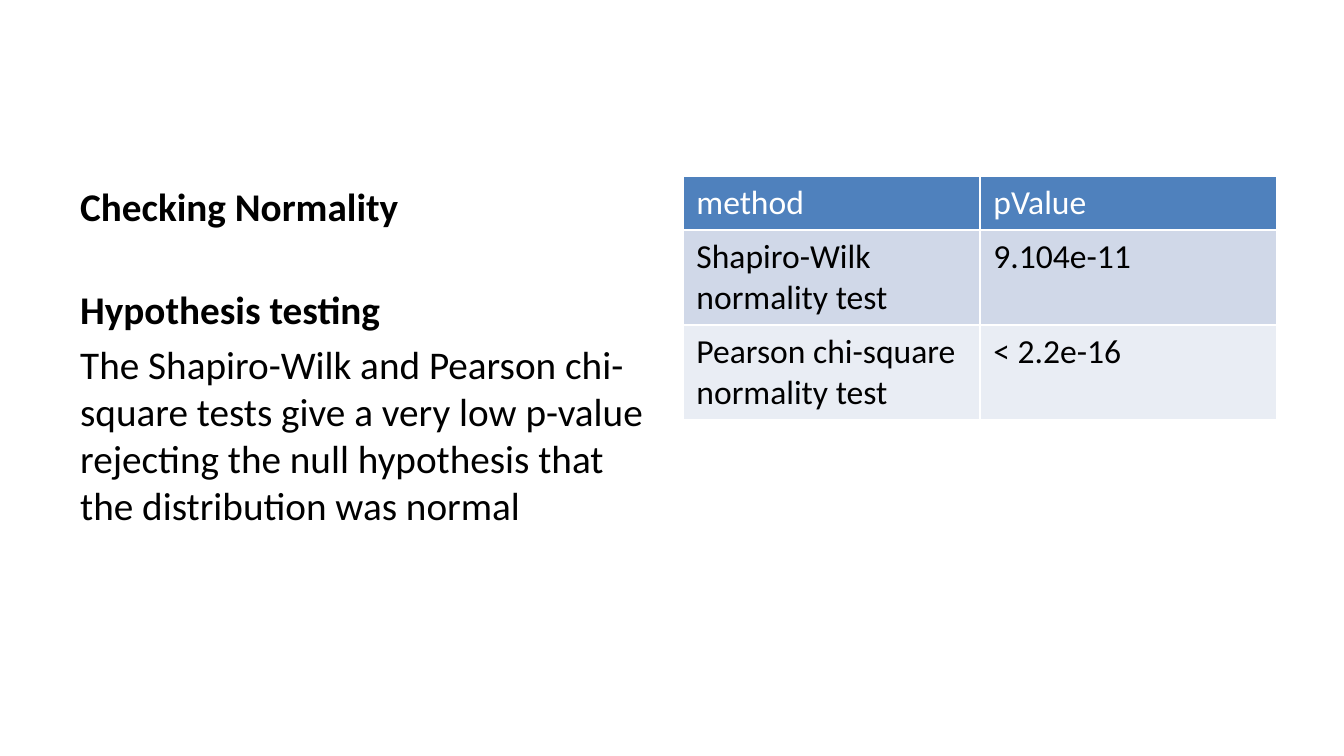
from lxml.etree import SubElement
from pptx import Presentation
from pptx.dml.color import RGBColor
from pptx.oxml.ns import qn
from pptx.util import Pt

SCALE = 9144000 / 1344
COLORS = {
    "text": "000000",
    "header_text": "FFFFFF",
    "border": "FFFFFF",
    "header": "4F81BD",
    "odd_row": "D0D8E8",
    "even_row": "E9EDF4",
}


def px(length):
    return round(length * SCALE)


def write(paragraph, text, color, font_format):
    run = paragraph.add_run()
    run.text = text
    run.font.color.rgb = RGBColor.from_string(COLORS[color])
    for name, value in font_format.items():
        setattr(run.font, name, value)


presentation = Presentation()
presentation.slide_width = px(1344)
presentation.slide_height = px(756)
slide = presentation.slides.add_slide(presentation.slide_layouts[6])

findings = [
    ("Checking Normality", True, 0),
    ("Hypothesis testing", True, 30),
    (
        "The Shapiro-Wilk and Pearson chi-square tests give a very low p-value "
        "rejecting the null hypothesis that the distribution was normal",
        False,
        4.2,
    ),
]
text_box = slide.shapes.add_textbox(px(67), px(176), px(594), px(499))
text_frame = text_box.text_frame
text_frame.word_wrap = True
for index, (text, bold, space_before) in enumerate(findings):
    paragraph = text_frame.add_paragraph() if index else text_frame.paragraphs[0]
    paragraph.space_before = Pt(space_before)
    write(paragraph, text, "text", {"name": "Calibri", "size": Pt(21), "bold": bold})

results = [
    ("method", "pValue"),
    ("Shapiro-Wilk normality test", "9.104e-11"),
    ("Pearson chi-square normality test", "< 2.2e-16"),
]
row_styles = [
    (54, "header", "header_text"),
    (95, "odd_row", "text"),
    (95, "even_row", "text"),
]
table_frame = slide.shapes.add_table(3, 2, px(683), px(176), px(594), px(244))
table = table_frame.table
for column in table.columns:
    column.width = px(297)
for row, values, (height, fill, color) in zip(table.rows, results, row_styles):
    row.height = px(height)
    for cell, value in zip(row.cells, values):
        properties = cell._tc.get_or_add_tcPr()
        for side in ("lnL", "lnR", "lnT", "lnB"):
            line = SubElement(properties, qn(f"a:{side}"), w=str(Pt(1)))
            line_fill = SubElement(line, qn("a:solidFill"))
            SubElement(line_fill, qn("a:srgbClr"), val=COLORS["border"])
        cell.fill.solid()
        cell.fill.fore_color.rgb = RGBColor.from_string(COLORS[fill])
        write(
            cell.text_frame.paragraphs[0],
            value,
            color,
            {"name": "Calibri", "size": Pt(18), "bold": False},
        )

presentation.save("out.pptx")
